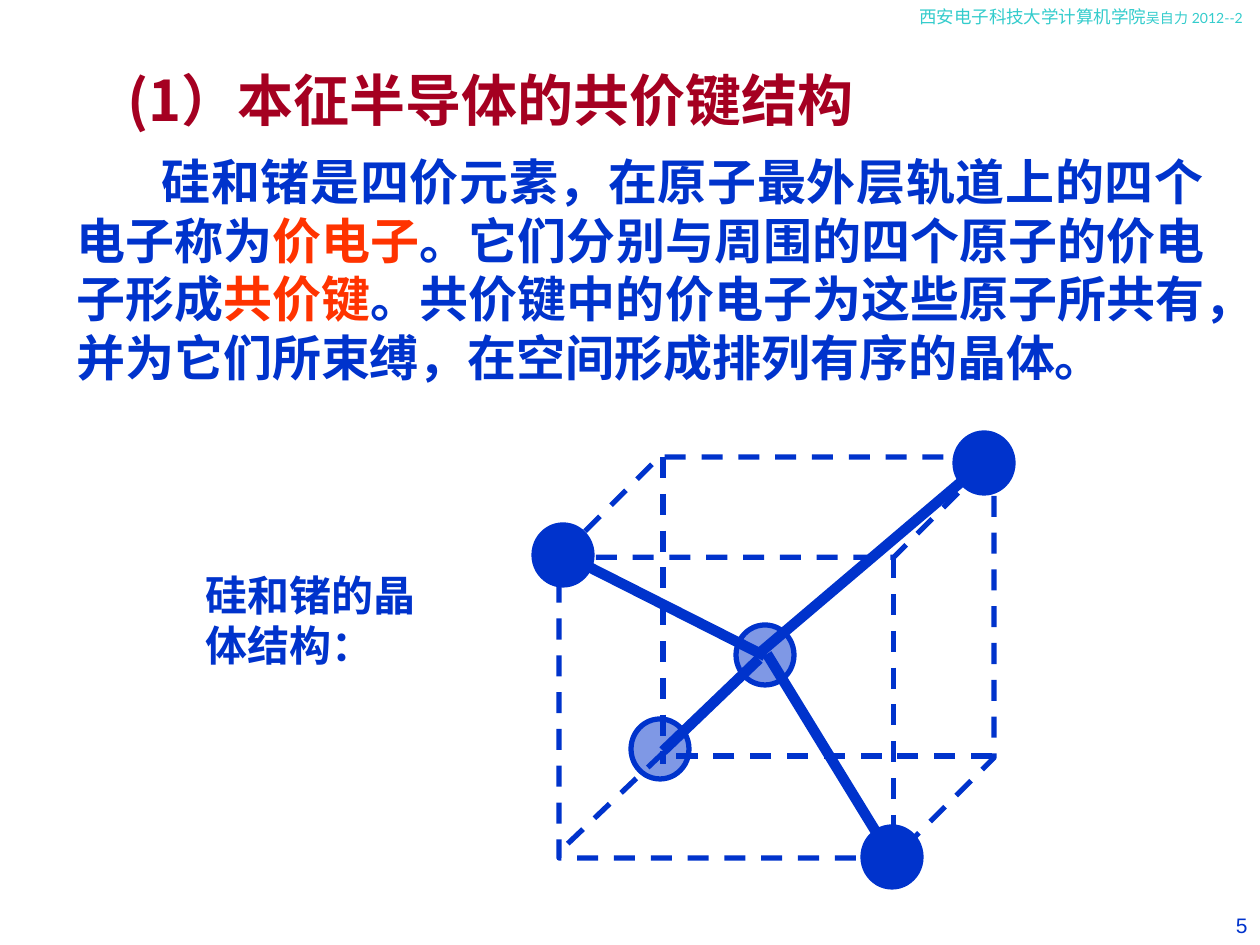
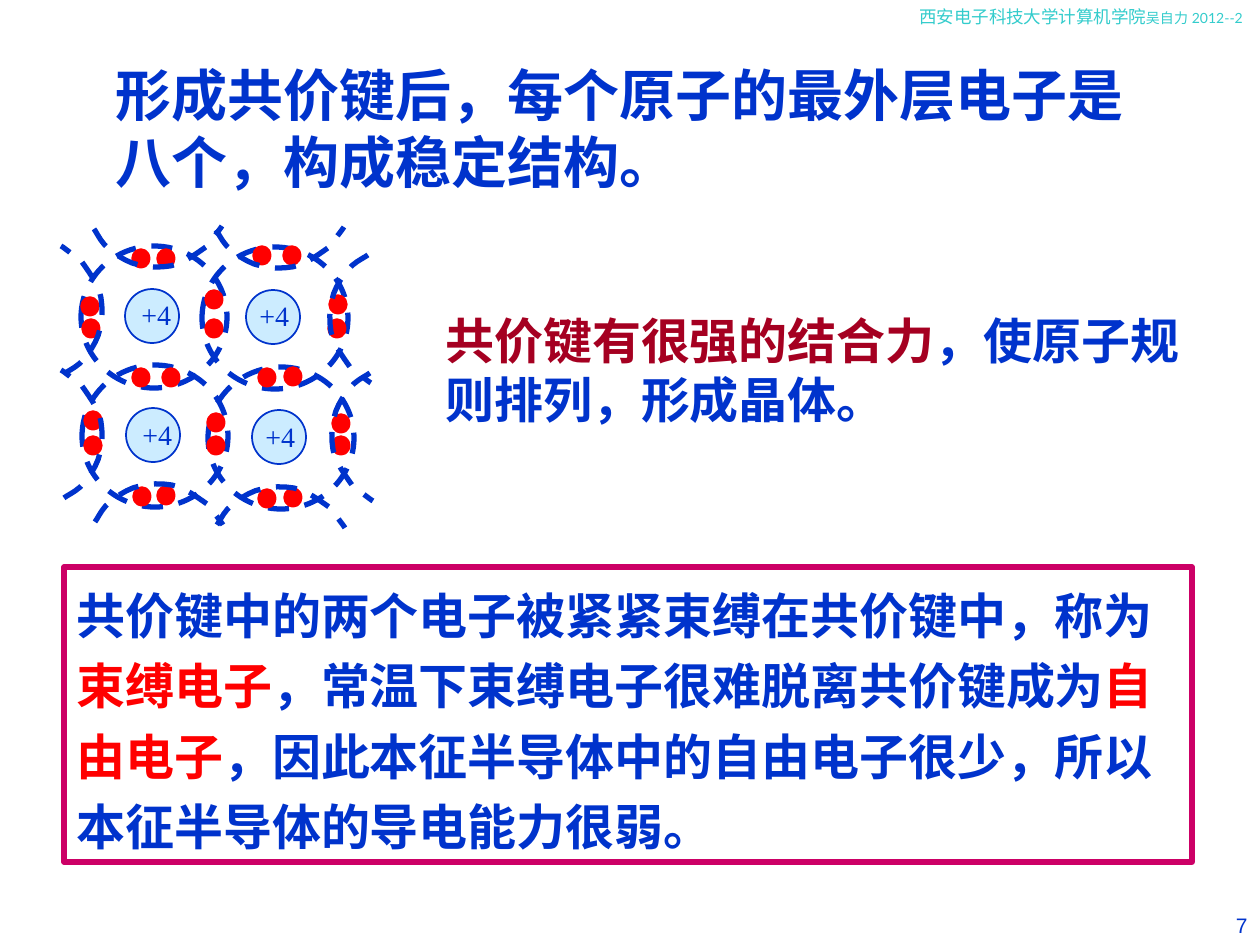
from lxml import etree
from pptx import Presentation
from pptx.dml.color import RGBColor
from pptx.enum.dml import MSO_LINE
from pptx.enum.shapes import MSO_CONNECTOR, MSO_SHAPE
from pptx.enum.text import MSO_ANCHOR, PP_ALIGN
from pptx.oxml.ns import qn
from pptx.util import Pt

BLUE = RGBColor(0x00, 0x33, 0xCC)
TEAL = RGBColor(0x33, 0xCC, 0xCC)
DARK_RED = RGBColor(0xA5, 0x00, 0x21)
ORANGE = RGBColor(0xFF, 0x33, 0x00)
RED = RGBColor(0xFF, 0x00, 0x00)
PINK = RGBColor(0xCC, 0x00, 0x66)
PALE_BLUE = RGBColor(0xCC, 0xEC, 0xFF)

DASH = MSO_LINE.DASH
ELLIPSE, CUBE, RECTANGLE = MSO_SHAPE.OVAL, MSO_SHAPE.CUBE, MSO_SHAPE.RECTANGLE
TOP, MIDDLE = MSO_ANCHOR.TOP, MSO_ANCHOR.MIDDLE
LEFT, RIGHT, JUSTIFY = PP_ALIGN.LEFT, PP_ALIGN.RIGHT, PP_ALIGN.JUSTIFY

SERIF, CJK, EAST_ASIAN, SANS = "Times New Roman", "Noto Sans CJK SC", "Lato", "Arial"
PIXELS_PER_INCH = 126
INSET_X, INSET_Y = Pt(7.2), Pt(3.6)

# Text: runs of (wording, colour)
TITLE = [("(1）本征半导体的共价键结构", DARK_RED)]
VALENCE = [
    ("硅和锗是四价元素，在原子最外层轨道上的四个电子称为", BLUE),
    ("价电子", ORANGE),
    ("。它们分别与周围的四个原子的价电子形成", BLUE),
    ("共价键", ORANGE),
    ("。共价键中的价电子为这些原子所共有，并为它们所束缚，在空间形成排列有序的晶体。", BLUE),
]
CRYSTAL_LABEL = [("硅和锗的晶体结构：", BLUE)]
STABLE = [("形成共价键后，每个原子的最外层电子是八个，构成稳定结构。", BLUE)]
BINDING = [("共价键有很强的结合力", DARK_RED), ("，使原子规则排列，形成晶体。", BLUE)]
BOUND_ELECTRONS = [
    ("共价键中的两个电子被紧紧束缚在共价键中，称为", BLUE),
    ("束缚电子", RED),
    ("，常温下束缚电子很难脱离共价键成为", BLUE),
    ("自由电子", RED),
    ("，因此本征半导体中的自由电子很少，所以本征半导体的导电能力很弱。", BLUE),
]

# Crystal cell
CELL = (559, 457, 435, 401)
HIDDEN_EDGES = [((663, 457), (663, 764)), ((992, 756), (660, 756)), ((663, 753), (558, 853))]
ATOM_SIZE = (58, 60)
ATOMS = [((736, 625), 50), ((534, 525), 100), ((631, 719), 50),
         ((955, 433), 100), ((863, 827), 100)]  # corner, opacity in percent
BONDS = [((587, 566), (765, 656)), ((759, 659), (663, 751)),
         ((767, 654), (892, 858)), ((762, 651), (987, 460))]

# Flat lattice
CORE_SIZE, RING_SIZE, RING_OFFSET = (54, 54), (146, 142), (-44, -43)
CORES = [((125, 289), (129, 291)), ((246, 290), (247, 292)),
         ((126, 408), (130, 411)), ((252, 410), (253, 413))]  # core, label
ELECTRON_SIZE = (14, 15)
ELECTRON_PAIRS = [
    ((134, 251), (159, 251)), ((255, 248), (285, 248)),
    ((83, 299), (84, 321)), ((207, 292), (207, 321)), ((331, 297), (330, 321)),
    ((134, 370), (164, 370)), ((260, 370), (286, 369)),
    ((86, 413), (86, 438)), ((209, 415), (209, 438)), ((334, 416), (334, 438)),
    ((135, 489), (159, 488)), ((260, 491), (286, 490)),
]
ARC_WIDTH, ARC_HEIGHT = 45, 131
ARC_START = (39, 3)
ARC_CURVES = [
    ((37, 5), (25, 10), (19, 18)), ((13, 25), (5, 37), (3, 48)),
    ((0, 59), (0, 76), (4, 87)), ((8, 97), (16, 108), (21, 115)),
    ((26, 121), (28, 121), (31, 123)), ((35, 126), (40, 130), (42, 131)),
]
ARCS = [("right", (329, 252)), ("right", (331, 370)),
        ("top", (91, 223)), ("top", (213, 224)),
        ("bottom", (92, 483)), ("bottom", (214, 486)),
        ("left", (58, 246)), ("left", (58, 370))]
TURN = {
    "right": lambda x, y: (x, y),
    "left": lambda x, y: (ARC_WIDTH - x, ARC_HEIGHT - y),
    "top": lambda x, y: (y, ARC_WIDTH - x),
    "bottom": lambda x, y: (y, x),
}


def px(length):
    return round(length * 914400 / PIXELS_PER_INCH)


def set_line(shape, color, width, dash=None):
    shape.line.color.rgb = color
    shape.line.width = Pt(width)
    if dash:
        shape.line.dash_style = dash


def write(shape, runs, size, bold=True, font=SERIF, align=LEFT, anchor=TOP,
          indent=0, spacing=None):
    """Fill one paragraph; a run is (wording, colour) or (wording, colour, size)."""
    frame = shape.text_frame
    frame.word_wrap = True
    frame.vertical_anchor = anchor
    frame.margin_left = frame.margin_right = INSET_X
    frame.margin_top = frame.margin_bottom = INSET_Y
    paragraph = frame.paragraphs[0]
    paragraph.alignment = align
    if spacing:
        paragraph.line_spacing = spacing
    if indent:
        paragraph._p.get_or_add_pPr().set("indent", str(px(indent)))
    for wording, color, *own_size in runs:
        run = paragraph.add_run()
        run.text = wording
        run.font.size = Pt(own_size[0] if own_size else size)
        run.font.bold = bold
        run.font.name = font
        run.font.color.rgb = color
        latin = run._r.rPr.find(qn("a:latin"))
        east_asian = etree.Element(qn("a:ea"), typeface=EAST_ASIAN)
        latin.addnext(east_asian)


def add_text(slide, box, runs, size, **style):
    write(slide.shapes.add_textbox(*map(px, box)), runs, size, **style)


def add_outline(slide, kind, box, color=BLUE, width=3, fill=None, opacity=100, dash=None):
    shape = slide.shapes.add_shape(kind, *map(px, box))
    shape.shadow.inherit = False
    set_line(shape, color, width, dash)
    if fill is None:
        shape.fill.background()
    else:
        shape.fill.solid()
        shape.fill.fore_color.rgb = fill
        if opacity < 100:
            solid = shape._element.spPr.find(qn("a:solidFill"))
            etree.SubElement(solid[0], qn("a:alpha"), val=str(opacity * 1000))
    return shape


def add_line(slide, start, end, width, dash=None):
    line = slide.shapes.add_connector(MSO_CONNECTOR.STRAIGHT, *map(px, start + end))
    set_line(line, BLUE, width, dash)
    etree.SubElement(line._element.spPr, qn("a:effectLst"))


def arc_points(steps=5):
    """Sample the cubic curves of one bond arc."""
    points = [ARC_START]
    for first, second, end in ARC_CURVES:
        start = points[-1]
        for step in range(1, steps + 1):
            t = step / steps
            weights = ((1 - t) ** 3, 3 * t * (1 - t) ** 2, 3 * t * t * (1 - t), t ** 3)
            controls = (start, first, second, end)
            points.append(tuple(sum(w * c[axis] for w, c in zip(weights, controls))
                                for axis in (0, 1)))
    return points


def add_arc(slide, side, corner):
    points = []
    for point in arc_points():
        x, y = TURN[side](*point)
        points.append((px(corner[0] + x), px(corner[1] + y)))
    builder = slide.shapes.build_freeform(*points[0], scale=1.0)
    builder.add_line_segments(points[1:], close=False)
    arc = builder.convert_to_shape()
    arc.shadow.inherit = False
    arc.fill.background()
    set_line(arc, BLUE, 3, DASH)


def new_slide(presentation, number):
    slide = presentation.slides.add_slide(presentation.slide_layouts[6])
    header = [("西安电子科技大学计算机学院", TEAL, 10), ("吴自力 2012--2", TEAL, 8)]
    add_text(slide, (907, 0, 354, 50), header, 10, bold=False, font=EAST_ASIAN)
    add_text(slide, (945, 906, 315, 39), [(number, BLUE)], 12, bold=False, font=SANS,
             align=RIGHT)
    return slide


def build_crystal_slide(presentation):
    slide = new_slide(presentation, "5")
    add_text(slide, (105, 55, 819, 81), TITLE, 32, font=CJK, align=JUSTIFY, indent=10,
             spacing=Pt(41))
    add_text(slide, (64, 145, 1153, 248), VALENCE, 28, align=JUSTIFY, indent=85)
    cube = add_outline(slide, CUBE, CELL, dash=DASH)
    cube.adjustments[0] = 0.25
    for start, end in HIDDEN_EDGES:
        add_line(slide, start, end, 3, DASH)
    for corner, opacity in ATOMS:
        add_outline(slide, ELLIPSE, corner + ATOM_SIZE, fill=BLUE, opacity=opacity)
    for start, end in BONDS:
        add_line(slide, start, end, 6)
    add_text(slide, (193, 563, 253, 113), CRYSTAL_LABEL, 24)


def build_lattice_slide(presentation):
    slide = new_slide(presentation, "7")
    frame = add_outline(slide, RECTANGLE, (64, 567, 1128, 295), color=PINK)
    write(frame, BOUND_ELECTRONS, 28, anchor=MIDDLE, spacing=1.2)
    add_text(slide, (103, 54, 1041, 147), STABLE, 32, anchor=MIDDLE)
    add_text(slide, (433, 304, 767, 131), BINDING, 28, anchor=MIDDLE)
    for core, label in CORES:
        ring = (core[0] + RING_OFFSET[0], core[1] + RING_OFFSET[1])
        add_outline(slide, ELLIPSE, core + CORE_SIZE, width=1, fill=PALE_BLUE)
        add_outline(slide, ELLIPSE, ring + RING_SIZE, dash=DASH)
        add_text(slide, label + (62, 47), [("+4", BLUE)], 16, bold=False)
    for pair in ELECTRON_PAIRS:
        for corner in pair:
            add_outline(slide, ELLIPSE, corner + ELECTRON_SIZE, color=RED, fill=RED)
    for side, corner in ARCS:
        add_arc(slide, side, corner)


def main():
    presentation = Presentation()
    presentation.slide_width = px(1260)
    presentation.slide_height = px(945)
    build_crystal_slide(presentation)
    build_lattice_slide(presentation)
    presentation.save("out.pptx")


if __name__ == "__main__":
    main()
